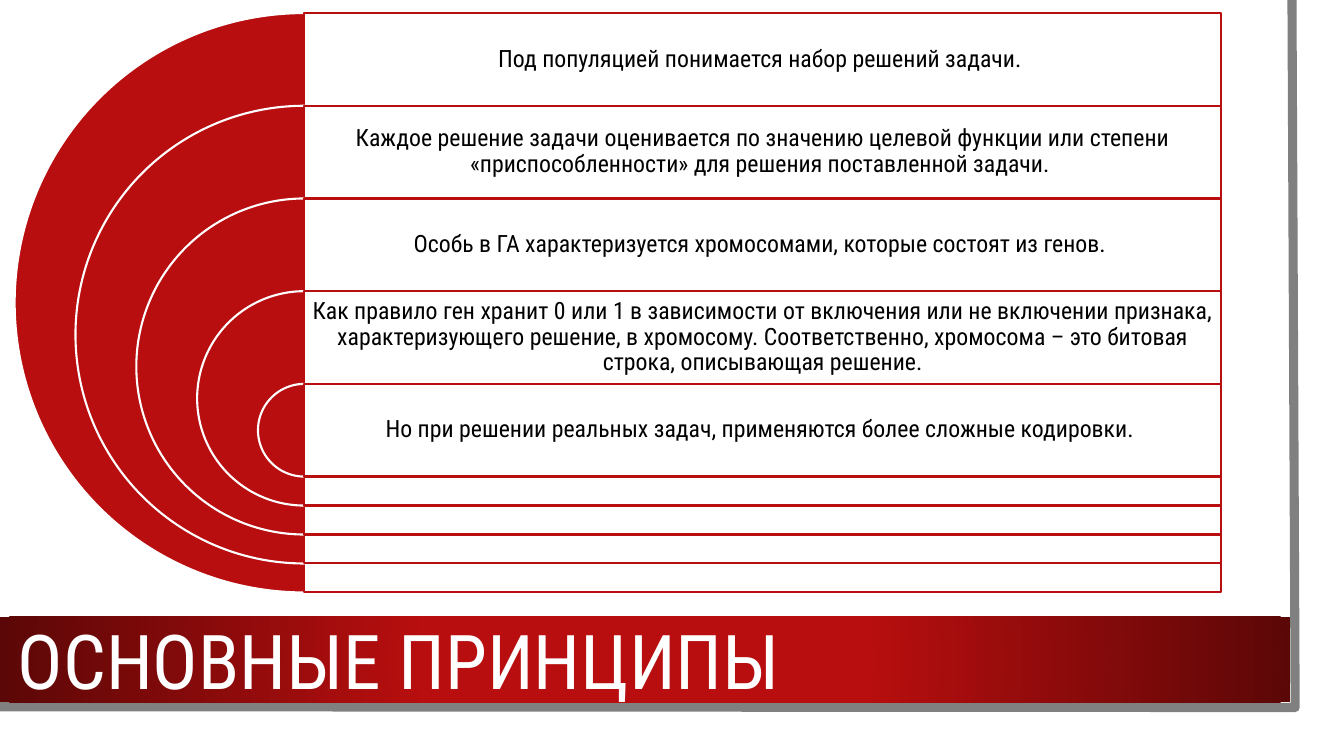
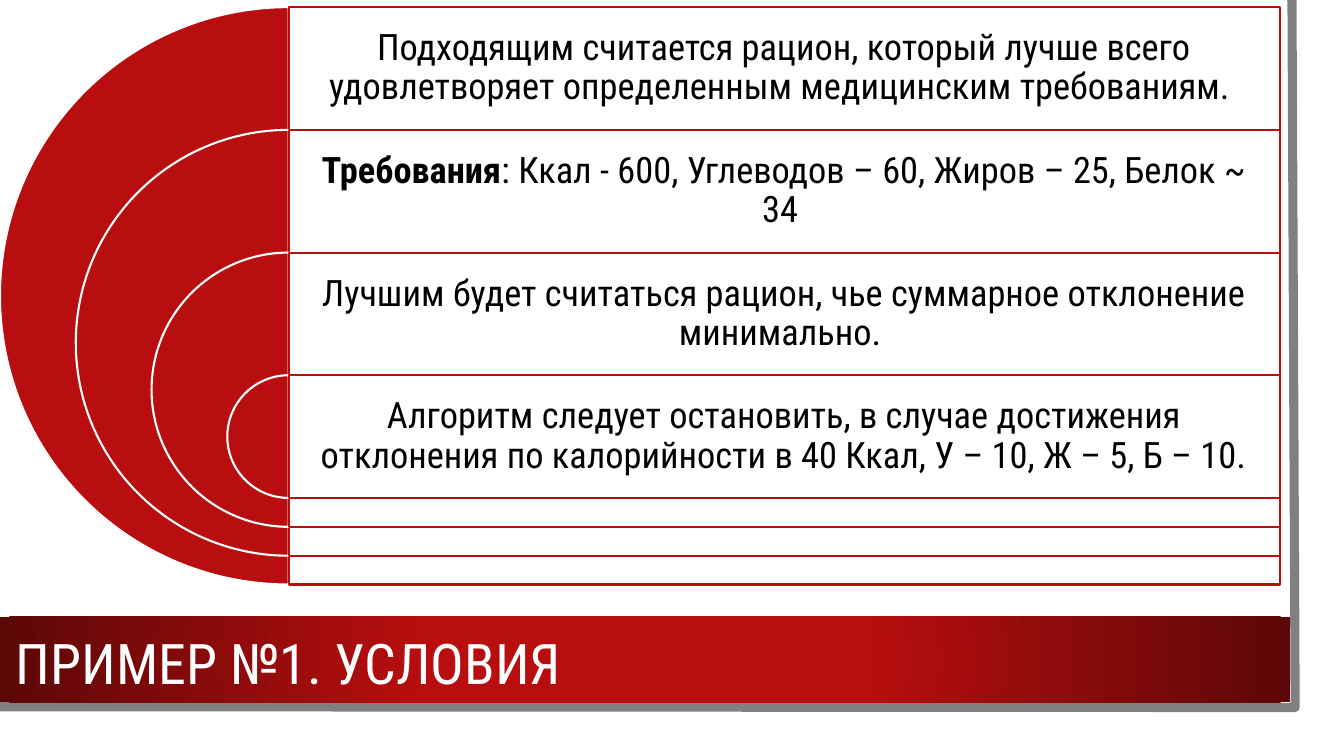
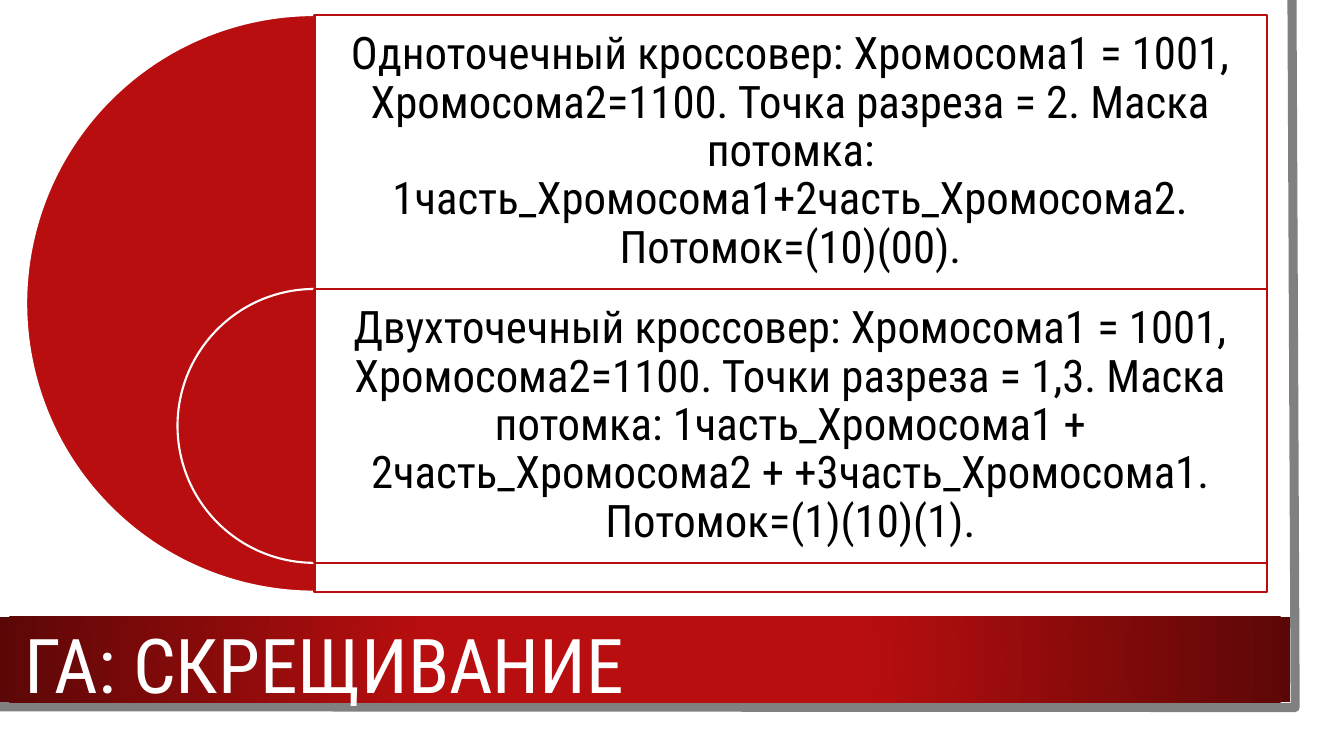
from lxml.etree import SubElement
from pptx import Presentation
from pptx.dml.color import RGBColor
from pptx.enum.shapes import MSO_SHAPE
from pptx.enum.text import MSO_ANCHOR, PP_ALIGN
from pptx.oxml import parse_xml
from pptx.oxml.ns import nsdecls, qn
from pptx.util import Cm, Pt

COLORS = {
    "red": "B80E0F",
    "dark_red": "5C0707",
    "gray": "808080",
    "white": "FFFFFF",
    "black": "000000",
}
FONT = "Roboto Condensed"
RING_STEP = 0.05  # rise of each ring's bottom, as a share of the outer diameter

SLIDES = [
    {
        "title": "ОСНОВНЫЕ ПРИНЦИПЫ",
        "title_box": (0.2, 15.16, 28.88, 3.2),
        "title_size": 54,
        "target_box": (0.37, 0.33, 30.41, 14.6),
        "size": 17,
        "inset": 0.17,
        "rows": [
            "Под популяцией понимается набор решений задачи. ",
            "Каждое решение задачи оценивается по значению целевой функции или степени "
            "«приспособленности» для решения поставленной задачи. ",
            "Особь в ГА характеризуется хромосомами, которые состоят из генов. ",
            "Как правило ген хранит 0 или 1 в зависимости от включения или не включении "
            "признака, характеризующего решение, в хромосому. Соответственно, хромосома – "
            "это битовая строка, описывающая решение.",
            "Но при решении реальных задач, применяются более сложные кодировки. ",
        ],
    },
    {
        "title": "ПРИМЕР №1. УСЛОВИЯ",
        "title_box": (0.15, 15.57, 30.2, 2.46),
        "title_size": 40,
        "target_box": (0, 0.18, 32.26, 14.55),
        "size": 26,
        "inset": 0.28,
        "rows": [
            "Подходящим считается рацион, который лучше всего удовлетворяет определенным "
            "медицинским требованиям. ",
            ("Требования", ": Ккал - 600, Углеводов – 60, Жиров – 25, Белок ~ 34 "),
            "Лучшим будет считаться рацион, чье суммарное отклонение минимально. ",
            "Алгоритм следует остановить, в случае достижения отклонения по калорийности "
            "в 40 Ккал, У – 10, Ж – 5, Б – 10.",
        ],
    },
    {
        "title": "ГА: СКРЕЩИВАНИЕ",
        "title_box": (0.38, 15.27, 28.88, 3.2),
        "title_size": 54,
        "target_box": (0.66, 0.38, 31.27, 14.53),
        "size": 32,
        "inset": 0.33,
        "rows": [
            "Одноточечный кроссовер: Хромосома1 = 1001, Хромосома2=1100. Точка разреза = 2. "
            "Маска потомка: 1часть_Хромосома1+2часть_Хромосома2. Потомок=(10)(00).",
            "Двухточечный кроссовер: Хромосома1 = 1001, Хромосома2=1100. Точки разреза = 1,3. "
            "Маска потомка: 1часть_Хромосома1 + 2часть_Хромосома2 + +3часть_Хромосома1. "
            "Потомок=(1)(10)(1).",
        ],
    },
]


def color(name):
    return RGBColor.from_string(COLORS[name])


def add_shape(page, kind, box, fill, line=None):
    shape = page.shapes.add_shape(kind, *(Cm(length) for length in box))
    shape.shadow.inherit = False
    shape.fill.solid()
    shape.fill.fore_color.rgb = color(fill)
    if line:
        shape.line.color.rgb = color(line)
        shape.line.width = Pt(1.5)
    else:
        shape.line.fill.background()
    return shape


def add_text(page, box, text, size, text_color, align, inset=None):
    """Place one paragraph; a pair of texts has its first part in bold."""
    frame = page.shapes.add_textbox(*(Cm(length) for length in box)).text_frame
    frame.word_wrap = True
    frame.vertical_anchor = MSO_ANCHOR.MIDDLE
    if inset is not None:
        frame.margin_left = frame.margin_right = Cm(inset)
        frame.margin_top = frame.margin_bottom = Cm(inset)
    paragraph = frame.paragraphs[0]
    paragraph.alignment = align
    paragraph.line_spacing = 0.9
    parts = (text,) if isinstance(text, str) else text
    for index, part in enumerate(parts):
        span = paragraph.add_run()
        span.text = part
        span.font.name = FONT
        span.font.size = Pt(size)
        span.font.color.rgb = color(text_color)
        span.font.bold = len(parts) > 1 and index == 0


def fill_with_glow(shape):
    """Circular gradient, bright in the middle and dark at the ends."""
    properties = shape._element.spPr
    gradient = parse_xml(
        f'<a:gradFill {nsdecls("a")} rotWithShape="1"><a:gsLst>'
        f'<a:gs pos="34000"><a:srgbClr val="{COLORS["red"]}"/></a:gs>'
        f'<a:gs pos="100000"><a:srgbClr val="{COLORS["dark_red"]}"/></a:gs></a:gsLst>'
        '<a:path path="circle"><a:fillToRect l="50000" t="50000" r="50000" b="50000"/></a:path>'
        "</a:gradFill>"
    )
    properties.replace(properties.find(qn("a:solidFill")), gradient)


def add_frame(page):
    # Sheet
    add_shape(page, MSO_SHAPE.RECTANGLE, (0, 0, 33.27, 18.47), "white")
    # Gray edge on the right and at the bottom
    builder = page.shapes.build_freeform(Cm(32.56), Cm(0))
    builder.add_line_segments(
        [(Cm(32.64), Cm(17.83)), (Cm(-0.08), Cm(17.81))], close=False
    )
    edge = builder.convert_to_shape()
    edge.shadow.inherit = False
    edge.fill.background()
    edge.line.color.rgb = color("gray")
    edge.line.width = Pt(6.5)
    # Title band
    fill_with_glow(add_shape(page, MSO_SHAPE.RECTANGLE, (0, 15.54, 32.51, 2.16), "red"))


def add_target(page, box, rows, size, inset):
    """Nested half circles with one row of text for each ring."""
    left, top, width, diameter = box
    middle = left + diameter / 2
    row_width = left + width - middle
    step = diameter * RING_STEP
    row_height = (diameter - step * (len(rows) - 1)) / len(rows)
    for index, text in enumerate(rows):
        ring = diameter - index * (row_height + step)
        row_top = top + index * row_height
        # Half circle
        half = add_shape(
            page, MSO_SHAPE.PIE, (middle - ring / 2, row_top, ring, ring), "red", "white"
        )
        half.adjustments[0], half.adjustments[1] = 54, 162
        # Panel
        panel = add_shape(
            page, MSO_SHAPE.RECTANGLE, (middle, row_top, row_width, ring), "white", "red"
        )
        tint = panel._element.spPr.find(qn("a:solidFill"))[0]
        SubElement(tint, qn("a:alpha")).set("val", "90000")
        # Row text
        row_box = (middle, row_top, row_width, row_height)
        add_text(page, row_box, text, size, "black", PP_ALIGN.CENTER, inset)


def main():
    deck = Presentation()
    deck.slide_width, deck.slide_height = Cm(33.87), Cm(19.05)
    for content in SLIDES:
        page = deck.slides.add_slide(deck.slide_layouts[6])
        add_frame(page)
        add_text(page, content["title_box"], content["title"], content["title_size"],
                 "white", PP_ALIGN.LEFT)
        add_target(page, content["target_box"], content["rows"], content["size"],
                   content["inset"])
    deck.save("out.pptx")


if __name__ == "__main__":
    main()
